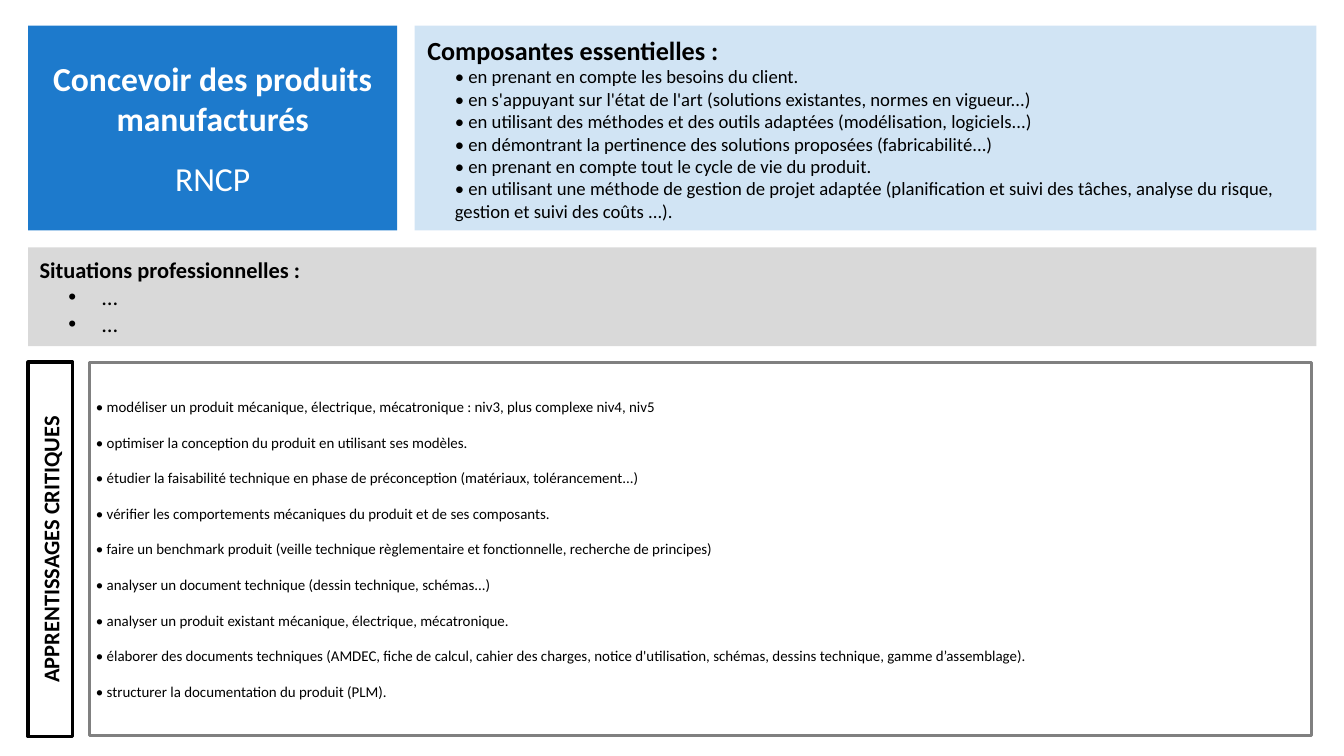
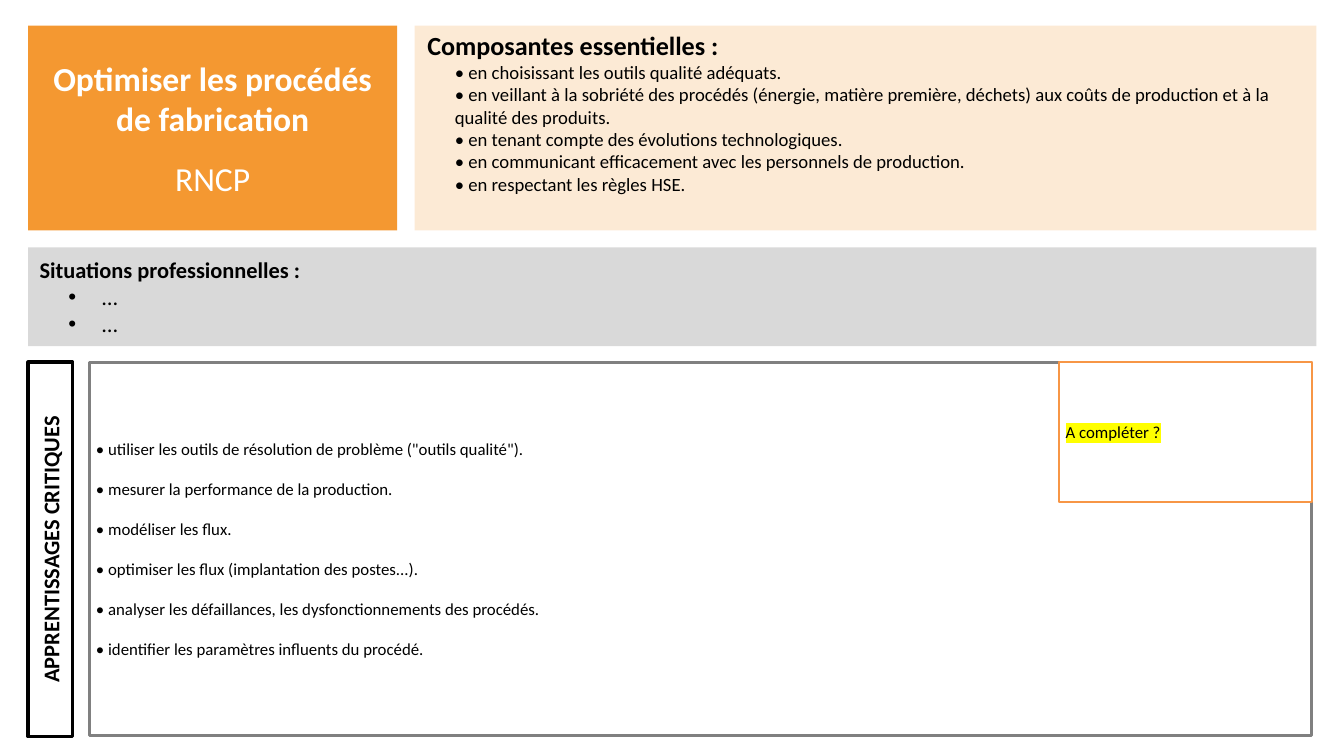
from dataclasses import dataclass

from lxml import etree
from pptx import Presentation
from pptx.dml.color import RGBColor
from pptx.enum.shapes import MSO_SHAPE as SHAPE
from pptx.enum.text import MSO_ANCHOR as ANCHOR, PP_ALIGN as ALIGN
from pptx.oxml.ns import qn
from pptx.util import Inches, Pt

WHITE = RGBColor(0xFF, 0xFF, 0xFF)
BLACK = RGBColor(0x00, 0x00, 0x00)
LIGHT_GREY = RGBColor(0xD9, 0xD9, 0xD9)
MID_GREY = RGBColor(0x80, 0x80, 0x80)
BLUE = RGBColor(0x1D, 0x7A, 0xCC)
ORANGE = RGBColor(0xF4, 0x98, 0x31)
NOTE_ORANGE = RGBColor(0xF7, 0x96, 0x46)
YELLOW = RGBColor(0xFF, 0xFF, 0x00)
FONT = "Calibri"

# left, top, width, height in inches
TITLE_BOX = (0.42, 0.38, 5.49, 3.05)
COMPONENTS_BOX = (6.17, 0.38, 13.42, 3.05)
SITUATIONS_BOX = (0.42, 3.68, 19.17, 1.47)
SIDE_BOX = (0.42, 5.39, 0.66, 5.57)
LEARNING_BOX = (1.33, 5.39, 18.19, 5.56)
LEARNING_GAP = 1.18  # space between items, in multiples of the text size


@dataclass
class Skill:
    title: str
    colour: RGBColor
    components: list
    learning: list
    learning_size: int
    components_bottom: float = 0.05
    note: str = ""


SKILLS = [
    Skill(
        title="Concevoir des produits manufacturés",
        colour=BLUE,
        components=[
            "en prenant en compte les besoins du client.",
            "en s'appuyant sur l'état de l'art (solutions existantes, normes en vigueur...)",
            "en utilisant des méthodes et des outils adaptées (modélisation, logiciels...)",
            "en démontrant la pertinence des solutions proposées (fabricabilité...)",
            "en prenant en compte tout le cycle de vie du produit.",
            "en utilisant une méthode de gestion de projet adaptée (planification et suivi "
            "des tâches, analyse du risque, gestion et suivi des coûts ...).",
        ],
        learning=[
            "modéliser un produit mécanique, électrique, mécatronique : niv3, "
            "plus complexe niv4, niv5",
            "optimiser la conception du produit en utilisant ses modèles.",
            "étudier la faisabilité technique en phase de préconception "
            "(matériaux, tolérancement...)",
            "vérifier les comportements mécaniques du produit et de ses composants.",
            "faire un benchmark produit (veille technique règlementaire et fonctionnelle, "
            "recherche de principes)",
            "analyser un document technique (dessin technique, schémas...)",
            "analyser un produit existant mécanique, électrique, mécatronique.",
            "élaborer des documents techniques (AMDEC, fiche de calcul, cahier des charges, "
            "notice d'utilisation, schémas, dessins technique, gamme d’assemblage).",
            "structurer la documentation du produit (PLM).",
        ],
        learning_size=16,
    ),
    Skill(
        title="Optimiser les procédés de fabrication",
        colour=ORANGE,
        components=[
            "en choisissant les outils qualité adéquats.",
            "en veillant à la sobriété des procédés (énergie, matière première, déchets) "
            "aux coûts de production et à la qualité des produits.",
            "en tenant compte des évolutions technologiques.",
            "en communicant efficacement avec les personnels de production.",
            "en respectant les règles HSE.",
        ],
        learning=[
            'utiliser les outils de résolution de problème ("outils qualité").',
            "mesurer la performance de la production.",
            "modéliser les flux.",
            "optimiser les flux (implantation des postes...).",
            "analyser les défaillances, les dysfonctionnements des procédés.",
            "identifier les paramètres influents du procédé.",
        ],
        learning_size=18,
        components_bottom=0.52,
        note="A compléter ?",
    ),
]


def add_panel(page, box, fill, line=None, line_width=0, opacity=100):
    panel = page.shapes.add_shape(SHAPE.RECTANGLE, *map(Inches, box))
    panel.shadow.inherit = False
    panel.fill.solid()
    panel.fill.fore_color.rgb = fill
    if opacity < 100:
        colour = panel.fill._xPr.find(f".//{qn('a:srgbClr')}")
        etree.SubElement(colour, qn("a:alpha"), val=str(opacity * 1000))
    if line is None:
        panel.line.fill.background()
    else:
        panel.line.color.rgb = line
        panel.line.width = Pt(line_width)
    panel.text_frame.word_wrap = True
    panel.text_frame.vertical_anchor = ANCHOR.MIDDLE
    return panel


def write(panel, text, size, bold=False, colour=BLACK, margin=0.0, hang=0.0, bullet="", **layout):
    """Add one paragraph, reusing the empty first one, and return its span."""
    frame = panel.text_frame
    para = frame.paragraphs[0]
    if para.runs:
        para = frame.add_paragraph()
    for name, value in {"alignment": ALIGN.LEFT, **layout}.items():
        setattr(para, name, value)
    properties = para._p.get_or_add_pPr()
    properties.set("marL", str(Inches(margin)))
    properties.set("indent", str(Inches(-hang)))
    if bullet:
        etree.SubElement(properties, qn("a:buFont"), typeface="Arial")
        etree.SubElement(properties, qn("a:buChar"), char=bullet)
    span = para.add_run()
    span.text = text
    span.font.color.rgb = colour
    for name, value in {"name": FONT, "size": Pt(size), "bold": bold}.items():
        setattr(span.font, name, value)
    return span


def highlight(span, colour):
    fill = span._r.get_or_add_rPr().find(qn("a:solidFill"))
    mark = etree.Element(qn("a:highlight"))
    etree.SubElement(mark, qn("a:srgbClr"), val=str(colour))
    fill.addnext(mark)


def add_title(page, box, skill):
    panel = add_panel(page, box, skill.colour)
    write(panel, skill.title, 36, True, WHITE, alignment=ALIGN.CENTER)
    write(panel, "RNCP", 36, False, WHITE, alignment=ALIGN.CENTER, line_spacing=1.5)


def add_components(page, box, skill):
    panel = add_panel(page, box, skill.colour, opacity=20)
    panel.text_frame.margin_bottom = Inches(skill.components_bottom)
    write(panel, "Composantes essentielles :", 28, True, margin=0.09)
    for item in skill.components:
        write(panel, f"• {item}", 20, margin=0.5, level=1)


def add_situations(page, box):
    panel = add_panel(page, box, LIGHT_GREY)
    write(panel, "Situations professionnelles :", 24, True, margin=0.07)
    for _ in range(2):
        write(panel, "…", 24, margin=1, hang=0.5, bullet="•", level=1)


def add_side_label(page, box):
    """Place a label that reads upwards and fills the upright box."""
    left, top, width, height = box
    shift = (height - width) / 2
    flat_box = (left - shift, top + shift, height, width)
    panel = add_panel(page, flat_box, WHITE, BLACK, 3.75)
    panel.rotation = 270
    write(panel, "APPRENTISSAGES CRITIQUES", 24, True, alignment=ALIGN.CENTER)


def add_learning(page, box, skill):
    panel = add_panel(page, box, WHITE, MID_GREY, 3)
    size = skill.learning_size
    for index, item in enumerate(skill.learning):
        gap = Pt(size * LEARNING_GAP) if index else Pt(0)
        write(panel, f"• {item}", size, space_before=gap)


def add_note(page, box, text):
    """Place a note in the top right corner of the box."""
    left, top, width, _ = box
    note_width, note_height = 3.76, 2.08
    corner = (left + width - note_width, top, note_width, note_height)
    panel = add_panel(page, corner, WHITE, NOTE_ORANGE, 2)
    highlight(write(panel, text, 18), YELLOW)


def add_skill_page(deck, skill):
    page = deck.slides.add_slide(deck.slide_layouts[6])
    add_title(page, TITLE_BOX, skill)
    add_components(page, COMPONENTS_BOX, skill)
    add_situations(page, SITUATIONS_BOX)
    add_side_label(page, SIDE_BOX)
    add_learning(page, LEARNING_BOX, skill)
    if skill.note:
        add_note(page, LEARNING_BOX, skill.note)


def main():
    deck = Presentation()
    deck.slide_width, deck.slide_height = Inches(20), Inches(11.25)
    for skill in SKILLS:
        add_skill_page(deck, skill)
    deck.save("out.pptx")


if __name__ == "__main__":
    main()
